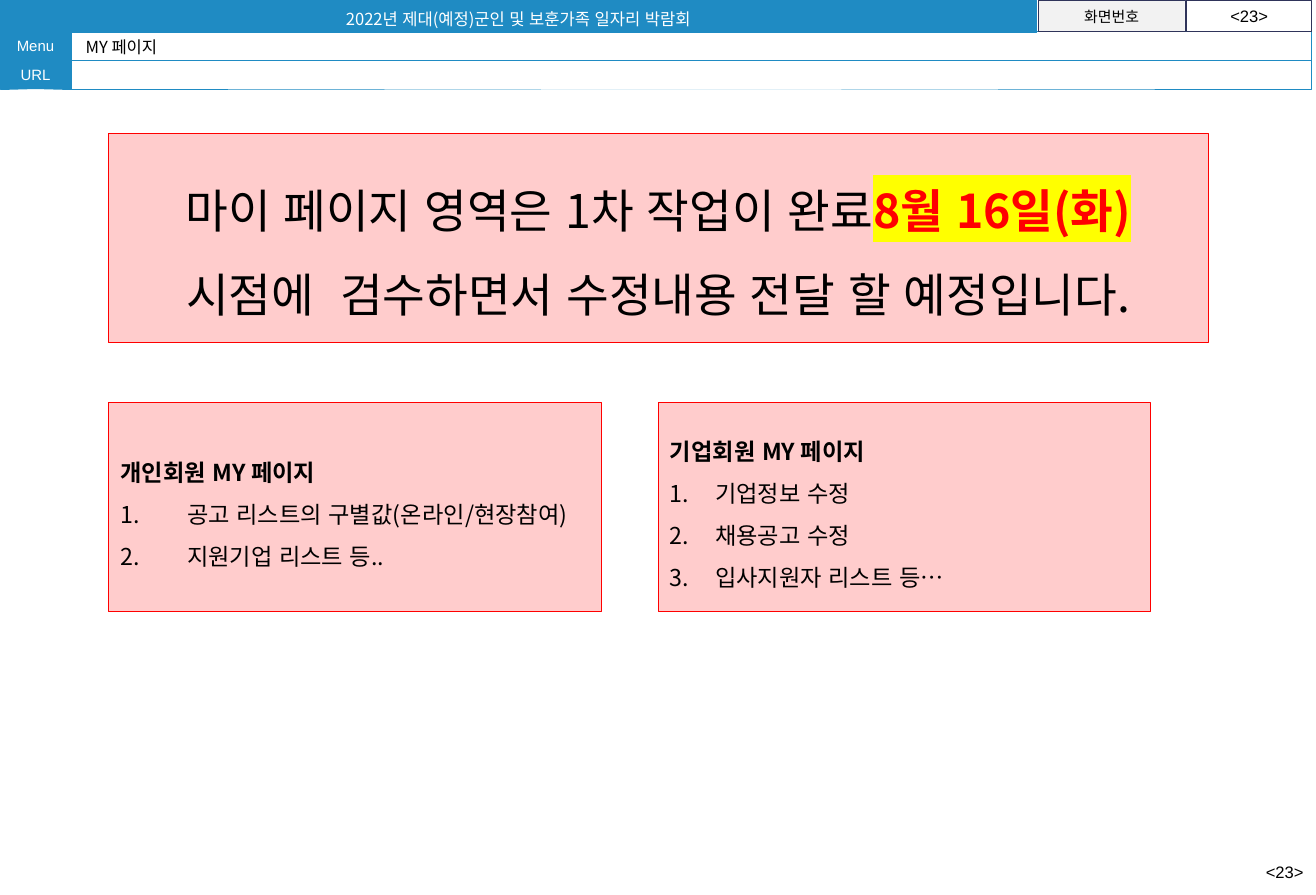
from dataclasses import dataclass
from typing import Optional

from lxml.etree import SubElement
from pptx import Presentation
from pptx.dml.color import RGBColor
from pptx.enum.lang import MSO_LANGUAGE_ID
from pptx.enum.shapes import MSO_SHAPE
from pptx.enum.text import MSO_ANCHOR, MSO_AUTO_SIZE, PP_ALIGN
from pptx.oxml.ns import qn
from pptx.util import Emu, Inches, Pt

WIDE, HIGH = Emu(10080625), Inches(7.5)
NOTO, ARIAL = "Noto Sans CJK KR", "Arial"
BLUE, NAVY, PINK, RED = "1F8BC3", "2F345A", "FFCCCC", "FF0000"
BLACK, WHITE, GRAY, YELLOW = "000000", "FFFFFF", "F2F2F2", "FFFF00"
CENTER, LEFT, RIGHT = PP_ALIGN.CENTER, PP_ALIGN.LEFT, PP_ALIGN.RIGHT


@dataclass
class Area:
    """Place in percent of the slide's width and height."""
    left: float
    top: float
    width: float
    height: float


@dataclass
class Run:
    text: str
    size: float
    font: str = NOTO
    ink: str = BLACK
    bold: bool = False
    mark: Optional[str] = None


@dataclass
class Box:
    area: Area
    fill: Optional[str]
    line: str
    weight: float = 0.25
    runs: tuple[Run, ...] = ()
    space: float = 1.0


@dataclass
class Panel:
    area: Area
    head: str
    items: tuple[str, ...]
    indent: float


def color(code: str) -> RGBColor:
    return RGBColor.from_string(code)


def across(share: float) -> Emu:
    return Emu(round(WIDE * share / 100))


def down(share: float) -> Emu:
    return Emu(round(HIGH * share / 100))


def place(shape, area: Area) -> None:
    shape.left, shape.top = across(area.left), down(area.top)
    shape.width, shape.height = across(area.width), down(area.height)


def paint(shape, fill: Optional[str], line: str, weight: float) -> None:
    if fill:
        shape.fill.solid()
        shape.fill.fore_color.rgb = color(fill)
    else:
        shape.fill.background()
    shape.line.color.rgb = color(line)
    shape.line.width = Pt(weight)


def frame(shape):
    text = shape.text_frame
    text.word_wrap = True
    text.auto_size = MSO_AUTO_SIZE.NONE
    text.vertical_anchor = MSO_ANCHOR.MIDDLE
    text.margin_left = text.margin_right = Inches(0.1)
    text.margin_top = text.margin_bottom = Inches(0.05)
    return text


def write(para, runs: tuple[Run, ...], align: PP_ALIGN, space: float = 1.0) -> None:
    para.alignment, para.line_spacing = align, space
    para.space_before = para.space_after = Pt(0)
    for item in runs:
        run = para.add_run()
        run.text = item.text
        font = run.font
        font.size, font.bold, font.name = Pt(item.size), item.bold, item.font
        font.language_id = MSO_LANGUAGE_ID.KOREAN
        font.color.rgb = color(item.ink)
        props = run._r.get_or_add_rPr()
        latin = props.find(qn("a:latin"))
        if item.mark:
            mark = SubElement(props, qn("a:highlight"))
            SubElement(mark, qn("a:srgbClr"), val=item.mark)
            latin.addprevious(mark)
        SubElement(props, qn("a:ea"), typeface=item.font)


def bullet(para, indent: Optional[float]) -> None:
    """Number the paragraph, or clear its bullet when there is no indent."""
    props = para._p.get_or_add_pPr()
    depth = across(indent or 0)
    props.set("marL", str(depth))
    props.set("indent", str(-depth))
    if indent:
        SubElement(props, qn("a:buFont"), typeface=NOTO)
        SubElement(props, qn("a:buAutoNum"), type="arabicPeriod")
    else:
        SubElement(props, qn("a:buNone"))


def draw(slide, box: Box) -> None:
    shape = slide.shapes.add_shape(MSO_SHAPE.RECTANGLE, 0, 0, 0, 0)
    place(shape, box.area)
    shape.shadow.inherit = False
    paint(shape, box.fill, box.line, box.weight)
    if box.runs:
        write(frame(shape).paragraphs[0], box.runs, CENTER, box.space)


def enlist(shape, panel: Panel) -> None:
    place(shape, panel.area)
    paint(shape, PINK, RED, 0.5)
    text = frame(shape)
    first = text.paragraphs[0]
    write(first, (Run(panel.head, 14, bold=True),), LEFT, 1.5)
    bullet(first, None)
    for item in panel.items:
        para = text.add_paragraph()
        write(para, (Run(item, 14),), LEFT, 1.5)
        bullet(para, panel.indent)


def main() -> None:
    deck = Presentation()
    deck.slide_width, deck.slide_height = WIDE, HIGH
    slide = deck.slides.add_slide(deck.slide_layouts[3])
    title, *bodies = slide.placeholders

    # Menu and URL rows
    top, row, side = 3.53, 3.2, 5.4
    for step, label in enumerate(("Menu", "URL")):
        level = top + step * row
        name = Run(label, 9, ARIAL, WHITE)
        draw(slide, Box(Area(0, level, side, row), BLUE, BLUE, runs=(name,)))
        draw(slide, Box(Area(side, level, 94.23, row), None, BLUE))

    # Header bar and notice
    event = Run("2022년 제대(예정)군인 및 보훈가족 일자리 박람회", 10, ink=WHITE)
    notice = (
        Run("마이 페이지 영역은 1차 작업이 완료", 28),
        Run("8월 16일(화) ", 28, ink=RED, bold=True, mark=YELLOW),
        Run("시점에  검수하면서 수정내용 전달 할 예정입니다.", 28),
    )
    number = Run("<23>", 10, ARIAL)
    for box in (
        Box(Area(0, 0, 78.75, 3.65), BLUE, BLUE, runs=(event,), space=1.3),
        Box(Area(78.9, 0.07, 11.13, 3.47), GRAY, NAVY, runs=(Run("화면번호", 9),)),
        Box(Area(90.15, 0.07, 9.53, 3.47), None, NAVY, 0.75, (number,)),
        Box(Area(8.24, 14.93, 83.56, 23.33), PINK, RED, 0.5, notice, 1.5),
    ):
        draw(slide, box)

    # Page title
    place(title, Area(5.6, 3.7, 75.05, 3.07))
    write(frame(title).paragraphs[0], (Run("MY 페이지", 10),), LEFT)

    # Member lists
    panels = (
        Panel(Area(8.24, 45, 37.48, 23.33), "개인회원 MY 페이지",
              ("공고 리스트의 구별값(온라인/현장참여)", "지원기업 리스트 등.."), 5.08),
        Panel(Area(50, 45, 37.46, 23.33), "기업회원 MY 페이지",
              ("기업정보 수정", "채용공고 수정", "입사지원자 리스트 등…"), 3.43),
    )
    for body, panel in zip(bodies, panels):
        enlist(body, panel)

    # Page number
    foot = slide.shapes.add_textbox(0, 0, 0, 0)
    place(foot, Area(77.45, 94.73, 22.5, 5.33))
    write(frame(foot).paragraphs[0], (number,), RIGHT)

    deck.save("out.pptx")


if __name__ == "__main__":
    main()
